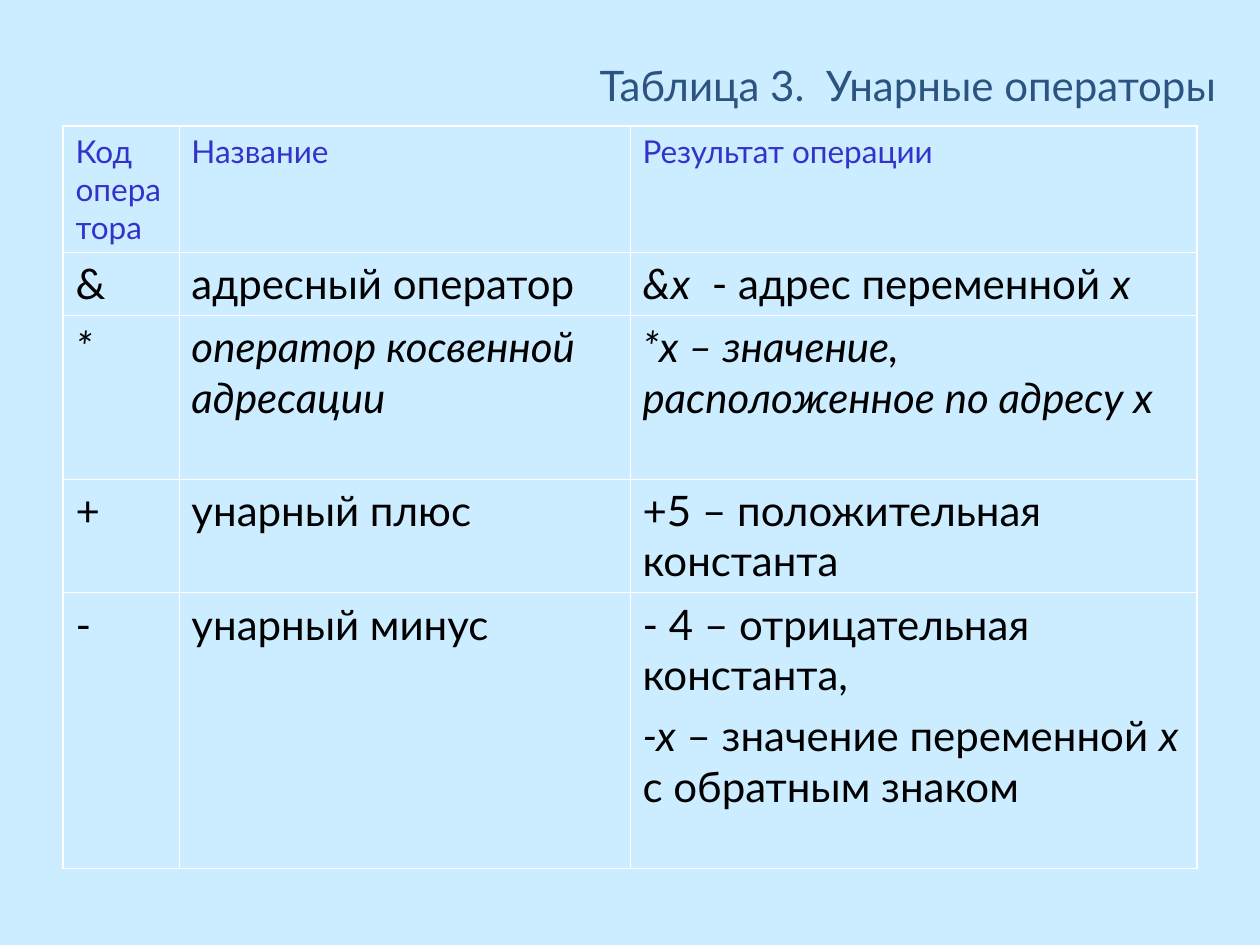
"""Build a slide with a table of unary operators."""
from dataclasses import dataclass

import pptx
import pptx.dml.color
import pptx.enum.text
import pptx.oxml
import pptx.oxml.ns
import pptx.util

FONT = "Lato"
BACKGROUND = "CCECFF"
TITLE_COLOR = "2B5481"
HEADER_COLOR = "3333CC"
BODY_COLOR = "000000"
BORDER_COLOR = "FFFFFF"
OUTER_BORDER = 1.08
INNER_BORDER = 0.45
COLUMN_WIDTHS = (66.24, 257.76, 324)


@dataclass(frozen=True)
class Span:
    """A piece of text in one style."""

    text: str
    italic: bool = False


@dataclass(frozen=True)
class Row:
    """A table row whose cells hold paragraphs made of spans."""

    height: float
    cells: tuple[tuple[tuple[Span, ...], ...], ...]
    size: float = 24
    color: str = BODY_COLOR


def plain_cell(text: str, italic: bool = False) -> tuple[tuple[Span, ...], ...]:
    """Return a cell with one paragraph in one style."""
    return ((Span(text, italic),),)


ROWS = (
    Row(72, tuple(map(plain_cell, ("Код оператора", "Название", "Результат операции"))), 18, HEADER_COLOR),
    Row(36, (
        plain_cell("&"),
        plain_cell("адресный оператор"),
        ((Span("&x", True), Span("  - адрес переменной "), Span("х", True)),),
    )),
    Row(93.6, (
        plain_cell("*", True),
        plain_cell("оператор косвенной адресации", True),
        plain_cell("*x – значение, расположенное по адресу х", True),
    )),
    Row(65, (
        plain_cell("+"),
        plain_cell("унарный плюс"),
        plain_cell("+5 – положительная константа"),
    )),
    Row(157.7, (
        plain_cell("-"),
        plain_cell("унарный минус"),
        (
            (Span("- 4 – отрицательная константа,"),),
            (Span("-х", True), Span(" – значение переменной "), Span("х ", True), Span("с обратным знаком")),
        ),
    )),
)


def rgb(color: str) -> pptx.dml.color.RGBColor:
    """Convert a hex string to a colour."""
    return pptx.dml.color.RGBColor.from_string(color)


def format_font(font, size: float, color: str, italic: bool = False) -> None:
    """Apply the slide's typeface with the given size, colour and slant."""
    font.name = FONT
    font.size = pptx.util.Pt(size)
    font.bold = False
    font.italic = italic
    font.color.rgb = rgb(color)


def set_borders(cell, widths: dict[str, float]) -> None:
    """Draw the cell's borders, given their widths by side."""
    properties = cell._tc.get_or_add_tcPr()
    for position, (side, width) in enumerate(widths.items()):
        line = pptx.oxml.parse_xml(
            f'<a:ln{side} {pptx.oxml.ns.nsdecls("a")} w="{int(pptx.util.Pt(width))}">'
            f'<a:solidFill><a:srgbClr val="{BORDER_COLOR}"/></a:solidFill></a:ln{side}>'
        )
        properties.insert(position, line)


def fill_cell(cell, paragraphs: tuple[tuple[Span, ...], ...], row: Row) -> None:
    """Write the cell's paragraphs and clear its fill."""
    cell.fill.background()
    cell.margin_left = cell.margin_right = pptx.util.Pt(7.2)
    cell.margin_top = cell.margin_bottom = pptx.util.Pt(3.6)
    for index, spans in enumerate(paragraphs):
        if index:
            paragraph = cell.text_frame.add_paragraph()
            paragraph.space_before = pptx.util.Pt(6)
        else:
            paragraph = cell.text_frame.paragraphs[0]
        for span in spans:
            run = paragraph.add_run()
            run.text = span.text
            format_font(run.font, row.size, row.color, span.italic)


def add_title(slide, text: str) -> None:
    """Place the right-aligned title above the table."""
    title = slide.shapes.title
    title.left, title.top = pptx.util.Pt(12.24), pptx.util.Pt(30.24)
    title.width, title.height = pptx.util.Pt(689.76), pptx.util.Pt(36)
    text_frame = title.text_frame
    text_frame.text = text
    text_frame.word_wrap = True
    text_frame.auto_size = pptx.enum.text.MSO_AUTO_SIZE.NONE
    text_frame.vertical_anchor = pptx.enum.text.MSO_ANCHOR.MIDDLE
    paragraph = text_frame.paragraphs[0]
    paragraph.alignment = pptx.enum.text.PP_ALIGN.RIGHT
    paragraph.space_before = pptx.util.Pt(0)
    format_font(paragraph.runs[0].font, 24, TITLE_COLOR)


def add_operator_table(slide) -> None:
    """Add the table with a heavier outer border."""
    last_row, last_column = len(ROWS) - 1, len(COLUMN_WIDTHS) - 1
    table = slide.shapes.add_table(
        len(ROWS), len(COLUMN_WIDTHS), pptx.util.Pt(36), pptx.util.Pt(72),
        pptx.util.Pt(sum(COLUMN_WIDTHS)), pptx.util.Pt(sum(row.height for row in ROWS)),
    ).table
    table.first_row = table.horz_banding = False
    for column, width in zip(table.columns, COLUMN_WIDTHS):
        column.width = pptx.util.Pt(width)
    for row_index, row in enumerate(ROWS):
        table.rows[row_index].height = pptx.util.Pt(row.height)
        for column_index, paragraphs in enumerate(row.cells):
            cell = table.cell(row_index, column_index)
            fill_cell(cell, paragraphs, row)
            outer_sides = {
                "L": column_index == 0,
                "R": column_index == last_column,
                "T": row_index == 0,
                "B": row_index == last_row,
            }
            set_borders(cell, {
                side: OUTER_BORDER if outer else INNER_BORDER
                for side, outer in outer_sides.items()
            })


def main() -> None:
    """Create and save the presentation."""
    presentation = pptx.Presentation()
    presentation.slide_width = pptx.util.Pt(720)
    presentation.slide_height = pptx.util.Pt(540)
    slide = presentation.slides.add_slide(presentation.slide_layouts.get_by_name("Title Only"))
    slide.background.fill.solid()
    slide.background.fill.fore_color.rgb = rgb(BACKGROUND)
    add_title(slide, "Таблица 3.  Унарные операторы")
    add_operator_table(slide)
    presentation.save("out.pptx")


if __name__ == "__main__":
    main()
